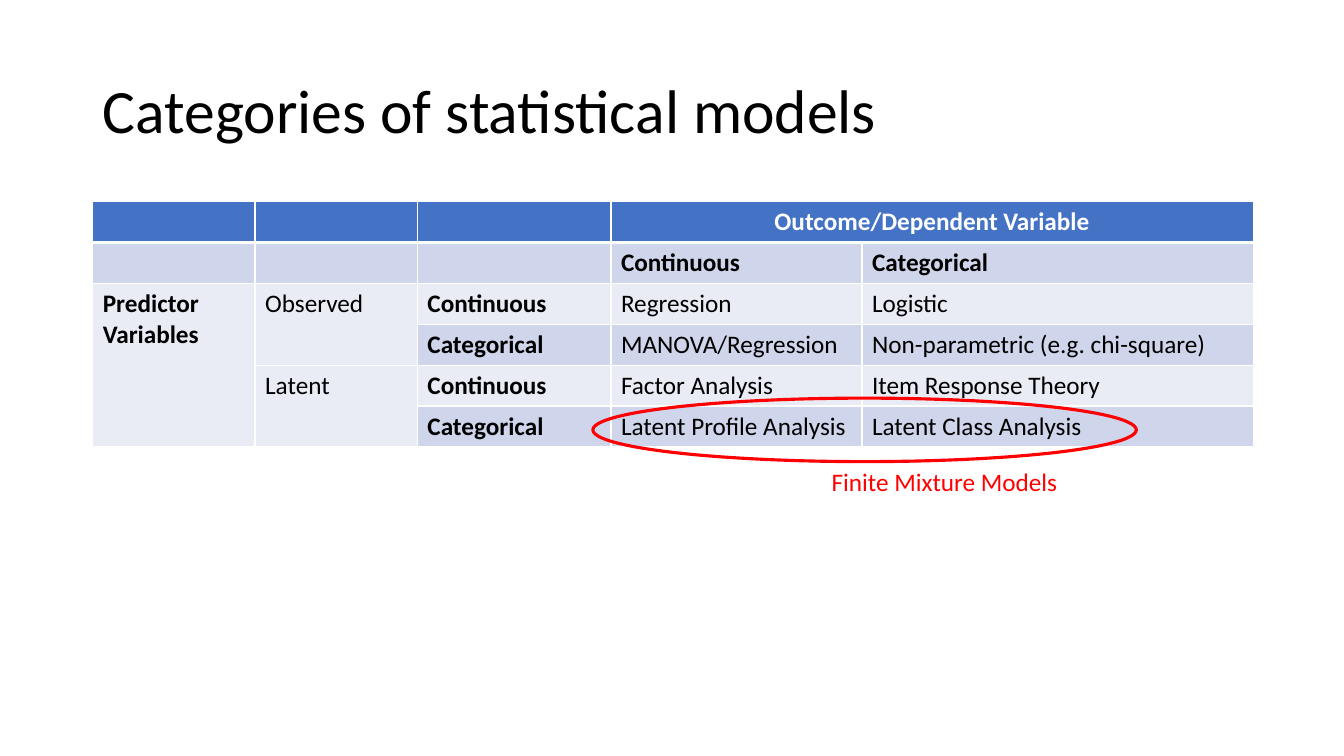
from lxml.etree import SubElement
from pptx import Presentation
from pptx.dml.color import RGBColor
from pptx.enum.shapes import MSO_SHAPE
from pptx.enum.text import MSO_ANCHOR, MSO_AUTO_SIZE, PP_ALIGN
from pptx.oxml.ns import qn
from pptx.util import Inches, Pt

FONT = "Calibri"
HUES = {"head": "4472C4", "dark": "CFD5EA", "light": "E9EBF5",
        "white": "FFFFFF", "black": "000000", "red": "FF0000"}

# Grid: left margin, table top, column widths and row height in inches
LEFT, TOP, WIDE = 0.92, 2, 11.5
COLS = [1.61, 1.61, 1.92, 2.49, 3.88]
ROW = 0.405

CELLS = [
    ["", "", "", "Outcome/Dependent Variable", ""],
    ["", "", "", "Continuous", "Categorical"],
    ["Predictor Variables", "Observed", "Continuous", "Regression", "Logistic"],
    ["", "", "Categorical", "MANOVA/Regression",
     "Non-parametric (e.g. chi-square)"],
    ["", "Latent", "Continuous", "Factor Analysis", "Item Response Theory"],
    ["", "", "Categorical", "Latent Profile Analysis", "Latent Class Analysis"],
]
# Merged blocks: first row, first column, last row, last column
SPANS = [(0, 3, 0, 4), (2, 0, 5, 0), (2, 1, 3, 1), (4, 1, 5, 1)]


def hue(name):
    return RGBColor.from_string(HUES[name])


def box(left, top, width, height):
    return [Inches(v) for v in (left, top, width, height)]


def style(par, size, color, bold=False):
    par.font.name = FONT
    par.font.size = Pt(size)
    par.font.bold = bold
    par.font.color.rgb = hue(color)
    for run in par.runs:
        run.font.name = FONT


def edge(cell, side, width):
    line = SubElement(cell._tc.get_or_add_tcPr(), qn(f"a:ln{side}"),
                      w=str(Pt(width)))
    fill = SubElement(line, qn("a:solidFill"))
    SubElement(fill, qn("a:srgbClr"), val=HUES["white"])


def add_title(slide, text):
    title = slide.shapes.title
    title.left, title.top, title.width, title.height = box(LEFT, 0.4, WIDE, 1.45)
    frame = title.text_frame
    frame.text = text
    frame.word_wrap = True
    frame.vertical_anchor = MSO_ANCHOR.MIDDLE
    par = frame.paragraphs[0]
    par.alignment = PP_ALIGN.LEFT
    par.line_spacing = 0.9
    style(par, 44, "black")


def fill_cell(cell, row, col, text):
    # Borders come before the fill; the header has a thick lower edge
    for side in "LRTB":
        thick = (row, side) in [(0, "B"), (1, "T")]
        edge(cell, side, 3 if thick else 1)
    band = "dark" if row % 2 else "light"
    if row == 0:
        band = "head"
    cell.fill.solid()
    cell.fill.fore_color.rgb = hue(band)
    cell.text_frame.text = text
    par = cell.text_frame.paragraphs[0]
    if row == 0:
        par.alignment = PP_ALIGN.CENTER
    style(par, 18, "black" if row else "white", row < 2 or col in (0, 2))


def add_grid(slide):
    count = len(CELLS)
    table = slide.shapes.add_table(
        count, len(COLS), *box(LEFT, TOP, WIDE, ROW * count)).table
    for col, width in zip(table.columns, COLS):
        col.width = Inches(width)
    for row, texts in enumerate(CELLS):
        for col, text in enumerate(texts):
            fill_cell(table.cell(row, col), row, col, text)
    for top, left, end, right in SPANS:
        table.cell(top, left).merge(table.cell(end, right))


def add_ring(slide, area):
    ring = slide.shapes.add_shape(MSO_SHAPE.OVAL, *box(*area))
    ring.shadow.inherit = False
    ring.fill.background()
    ring.line.color.rgb = hue("red")
    ring.line.width = Pt(2.25)


def add_label(slide, area, text):
    frame = slide.shapes.add_textbox(*box(*area)).text_frame
    frame.text = text
    frame.word_wrap = False
    frame.auto_size = MSO_AUTO_SIZE.SHAPE_TO_FIT_TEXT
    style(frame.paragraphs[0], 18, "red")


def main():
    deck = Presentation()
    deck.slide_width, deck.slide_height = Inches(13.33), Inches(7.5)
    slide = deck.slides.add_slide(deck.slide_layouts[5])
    add_title(slide, "Categories of statistical models")
    add_grid(slide)
    # Mark the last row's two latent models
    add_ring(slide, (5.88, 3.95, 5.39, 0.63))
    add_label(slide, (8.15, 4.58, 2.47, 0.4), "Finite Mixture Models")
    deck.save("out.pptx")


if __name__ == "__main__":
    main()
